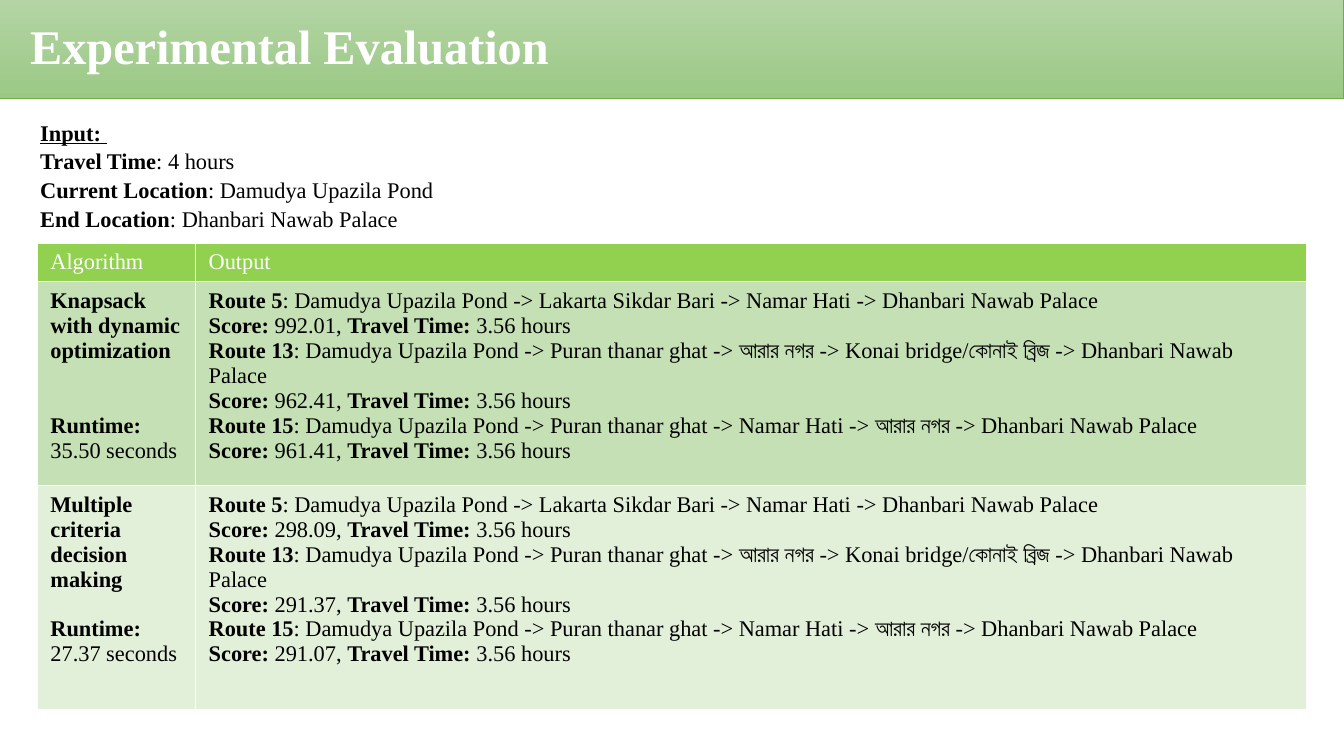
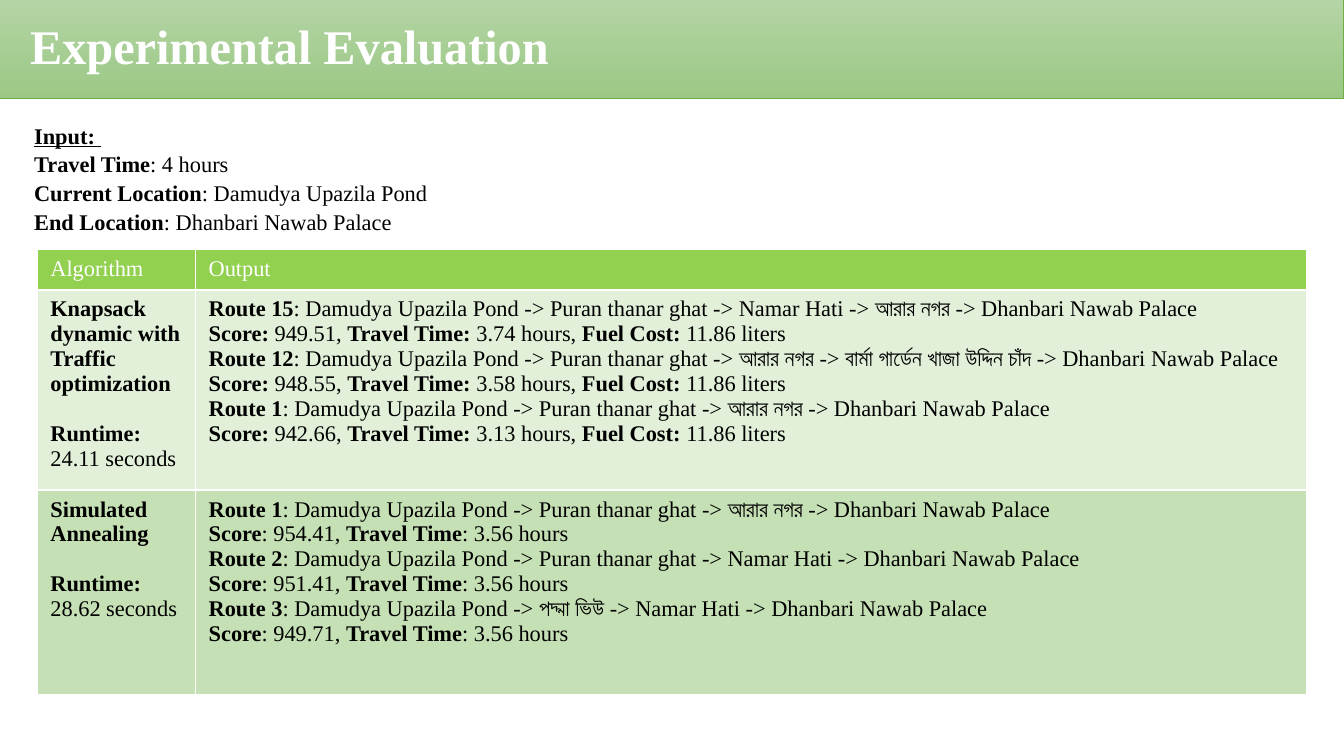
from lxml import etree
from pptx import Presentation
from pptx import util as u
from pptx.dml.color import RGBColor
from pptx.enum import shapes, text
from pptx.oxml import ns

WHITE = RGBColor(0xFF, 0xFF, 0xFF)
BLACK = RGBColor(0, 0, 0)
HEAD = RGBColor(0x92, 0xD0, 0x50)
MID = RGBColor(0xC5, 0xE0, 0xB4)
PALE = RGBColor(0xE2, 0xF0, 0xD9)
EDGE = RGBColor(0x70, 0xAD, 0x47)
FADE = RGBColor(0xB4, 0xD4, 0xA5), RGBColor(0x9B, 0xC9, 0x85)

WIDE, HIGH = 13.33, 7.5
COLS = 1.57, 11.02
LEFT = (WIDE - sum(COLS)) / 2
LINE = 17.7
BODY = {"name": "Times New Roman", "size": u.Pt(16), "bold": False}
BIG = {**BODY, "size": u.Pt(34.5), "bold": True}
INSET = {"margin_left": 0.13, "margin_right": 0.13, "margin_top": 0.07, "margin_bottom": 0.07}

TITLE = "Experimental Evaluation"
START, END = "Damudya Upazila Pond", "Dhanbari Nawab Palace"
INPUT = ["|Travel Time|: 4 hours", f"|Current Location|: {START}", f"|End Location|: {END}"]
NAMES = ["Algorithm", "Output"]

GHAT, HATI, NAGAR = "Puran thanar ghat", "Namar Hati", "আরার নগর"
BARI = ["Lakarta Sikdar Bari", HATI]
KONAI = [GHAT, NAGAR, "Konai bridge/কোনাই ব্রিজ"]
LONG = [GHAT, HATI, NAGAR]
GARDEN = [GHAT, NAGAR, "বার্মা গার্ডেন খাজা উদ্দিন চাঁদ"]
SHORT = [GHAT, NAGAR]
VIEW = ["পদ্মা ভিউ", HATI]

PLAIN = "|Score: |{}, |Travel Time: |{} hours"
FUEL = PLAIN + ", |Fuel Cost: |11.86 liters"
COLON = "|Score|: {}, |Travel Time|: {} hours"

SLIDES = [
    {"box": (0.3, 1.11), "top": 2.41, "rows": (0.38, 2.02, 2.22), "fills": (MID, PALE), "tests": [
        {"name": ["Knapsack with dynamic optimization"], "gap": 2, "time": "35.50", "form": PLAIN,
         "routes": [(5, BARI, "992.01", "3.56"), (13, KONAI, "962.41", "3.56"),
                    (15, LONG, "961.41", "3.56")]},
        {"name": ["Multiple criteria decision making"], "gap": 1, "time": "27.37", "form": PLAIN,
         "routes": [(5, BARI, "298.09", "3.56"), (13, KONAI, "291.37", "3.56"),
                    (15, LONG, "291.07", "3.56")]},
    ]},
    {"box": (0.24, 1.14), "top": 2.47, "rows": (0.38, 1.96, 2.03), "fills": (PALE, MID), "tests": [
        {"name": ["Knapsack dynamic with", "Traffic optimization"], "gap": 1, "time": "24.11",
         "form": FUEL,
         "routes": [(15, LONG, "949.51", "3.74"), (12, GARDEN, "948.55", "3.58"),
                    (1, SHORT, "942.66", "3.13")]},
        {"name": ["Simulated Annealing"], "gap": 1, "time": "28.62", "form": COLON,
         "routes": [(1, SHORT, "954.41", "3.56"), (2, [GHAT, HATI], "951.41", "3.56"),
                    (3, VIEW, "949.71", "3.56")]},
    ]},
]


def style(part, form, color):
    for key, val in form.items():
        setattr(part.font, key, val)
    part.font.color.rgb = color


def write(frame, lines, form=BODY, color=BLACK, space=None):
    frame.word_wrap = True
    for i, line in enumerate(lines):
        para = frame.add_paragraph() if i else frame.paragraphs[0]
        if space:
            para.line_spacing = space
        for j, bit in enumerate(line.split("|")):
            if bit:
                run = para.add_run()
                run.text = bit
                style(run, {**form, "bold": form["bold"] or j % 2 == 1}, color)


def add_box(slide, place, *args):
    box = slide.shapes.add_textbox(*map(u.Inches, place))
    write(box.text_frame, *args)
    return box.text_frame


def add_band(slide):
    band = slide.shapes.add_shape(shapes.MSO_SHAPE.RECTANGLE,
                                  *map(u.Inches, (0, -0.01, WIDE, 0.99)))
    band.shadow.inherit = False
    band.fill.gradient()
    band.fill.gradient_angle = 270
    for stop, color in zip(band.fill.gradient_stops, FADE):
        stop.color.rgb = color
    band.line.color.rgb = EDGE
    band.line.width = u.Pt(0.75)
    frame = add_box(slide, (0.3, 0.3, 12.2, 0.44), [TITLE], BIG, WHITE, 0.7)
    frame.vertical_anchor = text.MSO_ANCHOR.MIDDLE
    for key in INSET:
        setattr(frame, key, 0)


def fill_cell(cell, lines, fill, color=BLACK):
    for key, val in INSET.items():
        setattr(cell, key, u.Inches(val))
    write(cell.text_frame, lines, BODY, color)
    props = cell._tc.get_or_add_tcPr()
    for side in ("lnL", "lnR", "lnT", "lnB"):
        edge = etree.SubElement(props, ns.qn("a:" + side), w=str(u.Pt(1)))
        solid = etree.SubElement(edge, ns.qn("a:solidFill"))
        etree.SubElement(solid, ns.qn("a:srgbClr"), val=str(WHITE))
    cell.fill.solid()
    cell.fill.fore_color.rgb = fill


def add_grid(slide, top, rows, fills, tests):
    place = map(u.Inches, (LEFT, top, sum(COLS), sum(rows)))
    grid = slide.shapes.add_table(len(rows), len(COLS), *place).table
    for col, wide in zip(grid.columns, COLS):
        col.width = u.Inches(wide)
    for row, high in zip(grid.rows, rows):
        row.height = u.Inches(high)
    for i, name in enumerate(NAMES):
        fill_cell(grid.cell(0, i), [name], HEAD, WHITE)
    for i, (test, fill) in enumerate(zip(tests, fills), 1):
        names = [f"|{name}" for name in test["name"]]
        cell = grid.cell(i, 0)
        fill_cell(cell, names + ["|Runtime:", f"{test['time']} seconds"], fill)
        cell.text_frame.paragraphs[len(names)].space_before = u.Pt(LINE * test["gap"])
        lines = []
        for num, stops, score, hours in test["routes"]:
            trip = " -> ".join([START, *stops, END])
            lines += [f"|Route {num}|: {trip}", test["form"].format(score, hours)]
        fill_cell(grid.cell(i, 1), lines, fill)


def main():
    deck = Presentation()
    deck.slide_width, deck.slide_height = u.Inches(WIDE), u.Inches(HIGH)
    for data in SLIDES:
        slide = deck.slides.add_slide(deck.slide_layouts[6])
        add_grid(slide, data["top"], data["rows"], data["fills"], data["tests"])
        frame = add_box(slide, (*data["box"], 5.52, 1.2), ["|Input: "] + INPUT, BODY, BLACK, 1.07)
        frame.paragraphs[0].runs[0].font.underline = True
        add_band(slide)
    deck.save("out.pptx")


if __name__ == "__main__":
    main()
